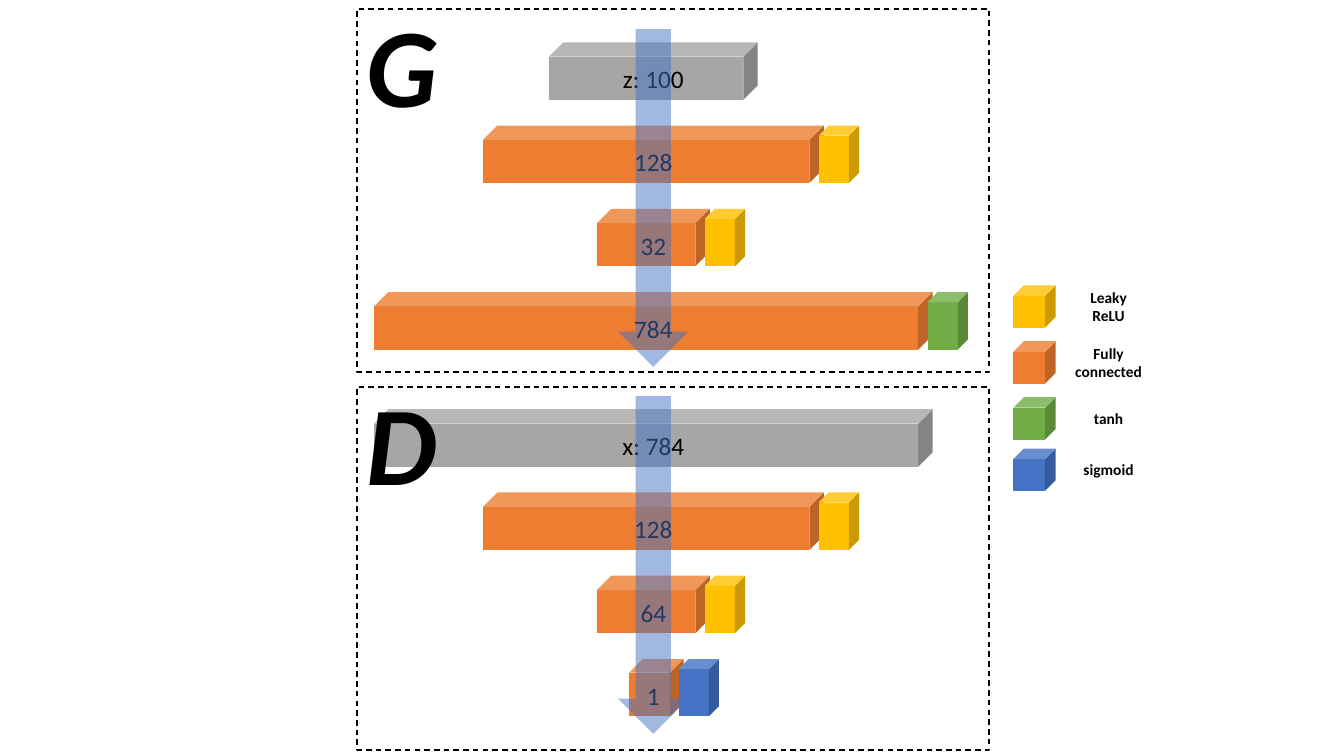
from pptx import Presentation
from pptx.util import Inches, Pt
from pptx.dml.color import RGBColor
from pptx.enum.dml import MSO_LINE
from pptx.enum.shapes import MSO_SHAPE
from pptx.enum.text import MSO_ANCHOR, PP_ALIGN
from pptx.oxml.ns import qn
from lxml import etree

CUBE, RECT, ARROW = MSO_SHAPE.CUBE, MSO_SHAPE.RECTANGLE, MSO_SHAPE.DOWN_ARROW
LEFT, CENTER = PP_ALIGN.LEFT, PP_ALIGN.CENTER
MIDDLE, DASH = MSO_ANCHOR.MIDDLE, MSO_LINE.DASH
CELL = Inches(0.1)

COLORS = {"input": "A6A6A6", "full": "ED7D31", "leaky": "FFC000",
          "tanh": "70AD47", "sigmoid": "4472C4", "flow": "4472C4",
          "ink": "000000"}
FONTS = {
    "layer": {"name": "Calibri", "size": Pt(18)},
    "key": {"name": "Calibri", "size": Pt(11), "bold": True},
    "letter": {"name": "Calibri", "size": Pt(80), "bold": True, "italic": True},
}
ROW, DEEP, PITCH = 5.7, 5.7, 8.26

# letter, lead, layers as (label, width, colour, shift, activation)
PANELS = [
    ("G", 3.3, [("z: 100", 20.7, "input", 0, None),
                ("128", 33.8, "full", 0, "leaky"),
                ("32", 11.2, "full", 0, "leaky"),
                ("784", 55.4, "full", 0, "tanh")]),
    ("D", 2.2, [("x: 784", 55.4, "input", 0, None),
                ("128", 33.8, "full", 0, "leaky"),
                ("64", 11.2, "full", 0, "leaky"),
                ("1", 5.4, "full", 0.3, "sigmoid")]),
]
KEYS = [("Leaky\nReLU", "leaky", 0), ("Fully\nconnected", "full", 5.55),
        ("tanh", "tanh", 11.1), ("sigmoid", "sigmoid", 16.2)]


def cells(box):
    return [round(n * CELL) for n in box]


def color(name):
    return RGBColor.from_string(COLORS[name])


def solid(slide, kind, box, fill):
    shape = slide.shapes.add_shape(kind, *cells(box))
    shape.shadow.inherit = False
    shape.line.fill.background()
    shape.fill.solid()
    shape.fill.fore_color.rgb = color(fill)
    return shape


def label(slide, box, text, style, align=CENTER):
    frame = slide.shapes.add_textbox(*cells(box)).text_frame
    frame.word_wrap = True
    frame.vertical_anchor = MIDDLE
    frame.text = text
    for para in frame.paragraphs:
        para.alignment = align
        para.font.color.rgb = color("ink")
        for key, value in FONTS[style].items():
            setattr(para.font, key, value)


def flow(slide, box):
    arrow = solid(slide, ARROW, box, "flow")
    tint = arrow.fill._xPr.find(qn("a:solidFill"))[0]
    etree.SubElement(tint, qn("a:alpha"), val="50000")


def panel(slide, box, letter, lead, layers):
    left, top, width, height = box
    mid = left + 29.4
    first = top + lead
    for i, (text, wide, fill, shift, active) in enumerate(layers):
        y = first + i * PITCH
        x = mid + shift - wide / 2
        solid(slide, CUBE, (x, y, wide, DEEP), fill)
        if active:
            solid(slide, CUBE, (x + wide - 0.5, y, 4, DEEP), active)
        label(slide, (mid - 6, y + 1.6, 12, 4), text, "layer")
    label(slide, (left, top - 1.9, 12, 14.5), letter, "letter", LEFT)
    frame = slide.shapes.add_shape(RECT, *cells(box))
    frame.shadow.inherit = False
    frame.fill.background()
    frame.line.color.rgb = color("ink")
    frame.line.width = Pt(1)
    frame.line.dash_style = DASH
    flow(slide, (mid - 3.5, first - 1.3, 7, 33.5))


def legend(slide, box):
    left, top, width, side = box
    for text, fill, down in KEYS:
        y = top + down
        solid(slide, CUBE, (left, y, side, side), fill)
        label(slide, (left + side, y, width - side, side), text, "key")


deck = Presentation()
deck.slide_width, deck.slide_height = Inches(13.33), Inches(7.5)
slide = deck.slides.add_slide(deck.slide_layouts[6])
for i, (letter, lead, layers) in enumerate(PANELS):
    panel(slide, (35.4, 0.9 + i * 37.5, 62.7, 36), letter, lead, layers)
legend(slide, (100.5, 28.3, 14.7, 4.2))
deck.save("out.pptx")
